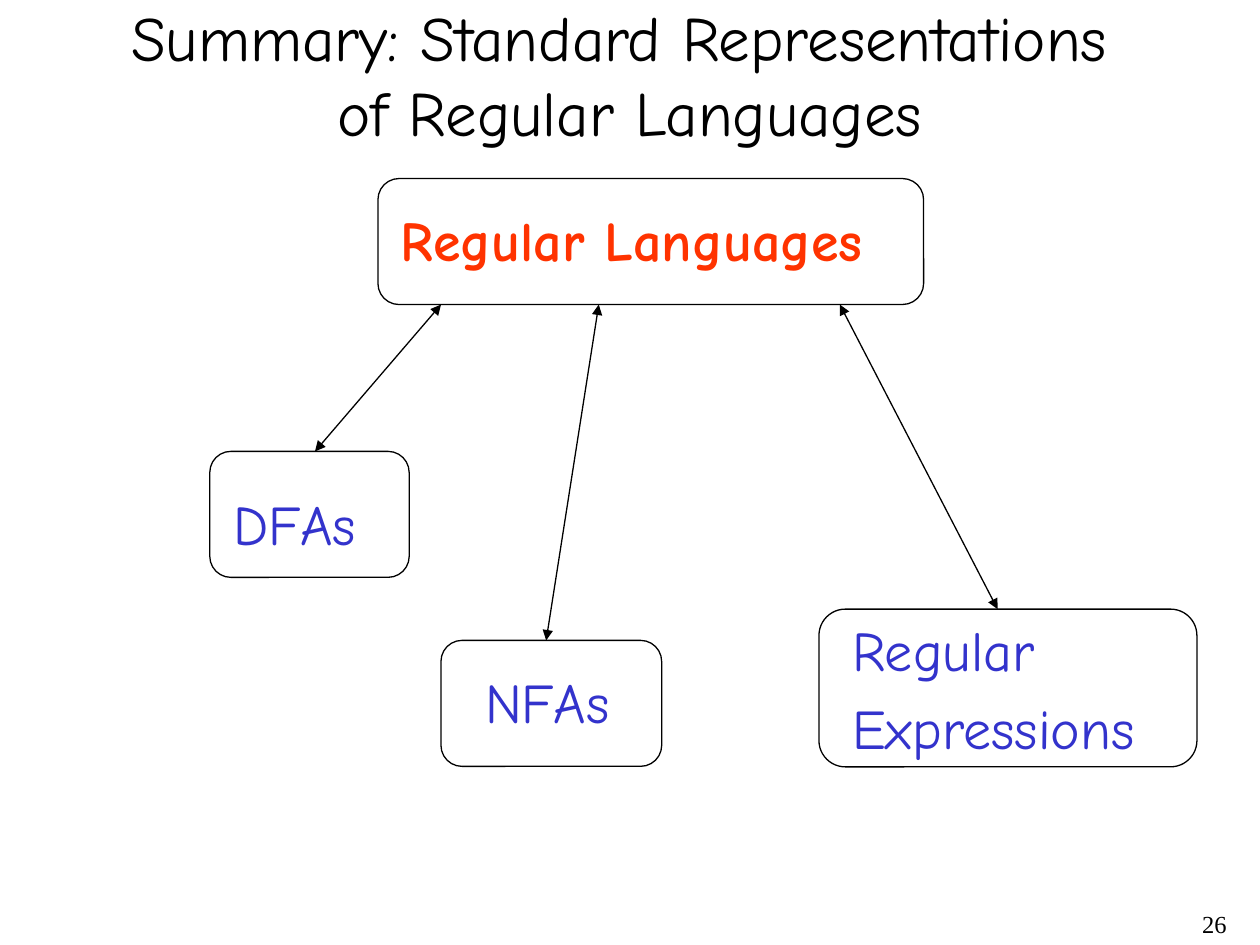
from dataclasses import dataclass

from lxml import etree
from pptx import Presentation
from pptx.dml.color import RGBColor
from pptx.enum.shapes import MSO_CONNECTOR, MSO_SHAPE
from pptx.enum.text import MSO_ANCHOR, MSO_AUTO_SIZE, PP_ALIGN
from pptx.oxml.ns import qn
from pptx.util import Cm, Pt

BLACK = RGBColor(0x00, 0x00, 0x00)
RED = RGBColor(0xFF, 0x33, 0x00)
BLUE = RGBColor(0x33, 0x33, 0xCC)
COMIC, TIMES = "Comic Neue", "Times New Roman"
LEFT, CENTER, RIGHT = PP_ALIGN.LEFT, PP_ALIGN.CENTER, PP_ALIGN.RIGHT
TOP, MIDDLE = MSO_ANCHOR.TOP, MSO_ANCHOR.MIDDLE
FIT_SHAPE, NO_FIT = MSO_AUTO_SIZE.SHAPE_TO_FIT_TEXT, MSO_AUTO_SIZE.NONE
ROUNDED = MSO_SHAPE.ROUNDED_RECTANGLE
STRAIGHT = MSO_CONNECTOR.STRAIGHT
LINE_WIDTH = Pt(0.75)

Area = tuple[float, float, float, float]  # left, top, width, height in cm
Point = tuple[float, float]


@dataclass
class Label:
    area: Area
    lines: list[str]
    color: RGBColor = BLUE
    bold: bool = False
    size: float = 32
    font: str = COMIC
    align: PP_ALIGN = LEFT
    anchor: MSO_ANCHOR = TOP
    wrap: bool = False
    space_before: float = 6.4


@dataclass
class Node:
    area: Area
    label: Label


@dataclass
class Link:
    start: Point
    end: Point


TITLE = Label((0.42, 0.64, 24.55, 1.69),
              ["Summary: Standard Representations \vof Regular Languages"],
              color=BLACK, size=36, align=CENTER, anchor=MIDDLE,
              wrap=True, space_before=0)
PAGE_NUMBER = Label((19.69, 18.2, 5.29, 0.85), ["26"], color=BLACK, size=14,
                    font=TIMES, align=RIGHT, wrap=True, space_before=0)

NODES = [
    Node((7.62, 3.6, 11, 2.54),
         Label((7.83, 4.02, 10.44, 1.6), ["Regular Languages"], RED, True)),
    Node((4.23, 9.1, 4.02, 2.54),
         Label((4.45, 9.74, 3.38, 1.6), ["DFAs"])),
    Node((8.89, 12.91, 4.45, 2.54),
         Label((9.53, 13.34, 3.48, 1.6), ["NFAs"])),
    Node((16.51, 12.28, 7.62, 3.18),
         Label((16.93, 12.28, 6.81, 3.23), ["Regular", "Expressions"])),
]
LINKS = [
    Link((8.89, 6.14), (6.35, 9.1)),
    Link((12.07, 6.14), (11.01, 12.91)),
    Link((16.93, 6.14), (20.11, 12.28)),
]


def set_all(target, values: dict) -> None:
    for name, value in values.items():
        setattr(target, name, value)


def add_label(page, label: Label) -> None:
    box = page.shapes.add_textbox(*map(Cm, label.area))
    frame = box.text_frame
    set_all(frame, {
        "word_wrap": label.wrap,
        "vertical_anchor": label.anchor,
        "auto_size": NO_FIT if label.wrap else FIT_SHAPE,
    })
    frame.text = "\n".join(label.lines)
    for para in frame.paragraphs:
        set_all(para, {"alignment": label.align,
                       "space_before": Pt(label.space_before)})
        for span in para.runs:
            set_all(span.font, {"name": label.font, "size": Pt(label.size),
                                "bold": label.bold})
            span.font.color.rgb = label.color


def add_outline(page, area: Area) -> None:
    outline = page.shapes.add_shape(ROUNDED, *map(Cm, area))
    outline.adjustments[0] = 0.167
    outline.shadow.inherit = False
    outline.fill.background()
    outline.line.color.rgb = BLACK
    outline.line.width = LINE_WIDTH


def add_link(page, link: Link) -> None:
    arrow = page.shapes.add_connector(STRAIGHT, *map(Cm, link.start + link.end))
    arrow.line.color.rgb = BLACK
    arrow.line.width = LINE_WIDTH
    properties = arrow.element.spPr
    for end in ("a:headEnd", "a:tailEnd"):
        etree.SubElement(properties.find(qn("a:ln")), qn(end), type="triangle")
    etree.SubElement(properties, qn("a:effectLst"))


def main() -> None:
    deck = Presentation()
    set_all(deck, {"slide_width": Cm(25.4), "slide_height": Cm(19.05)})
    page = deck.slides.add_slide(deck.slide_layouts[6])

    # Page number, title and node names
    for label in [PAGE_NUMBER, TITLE] + [node.label for node in NODES]:
        add_label(page, label)

    # Node outlines and the arrows between them
    for node in NODES:
        add_outline(page, node.area)
    for link in LINKS:
        add_link(page, link)

    deck.save("out.pptx")


main()
